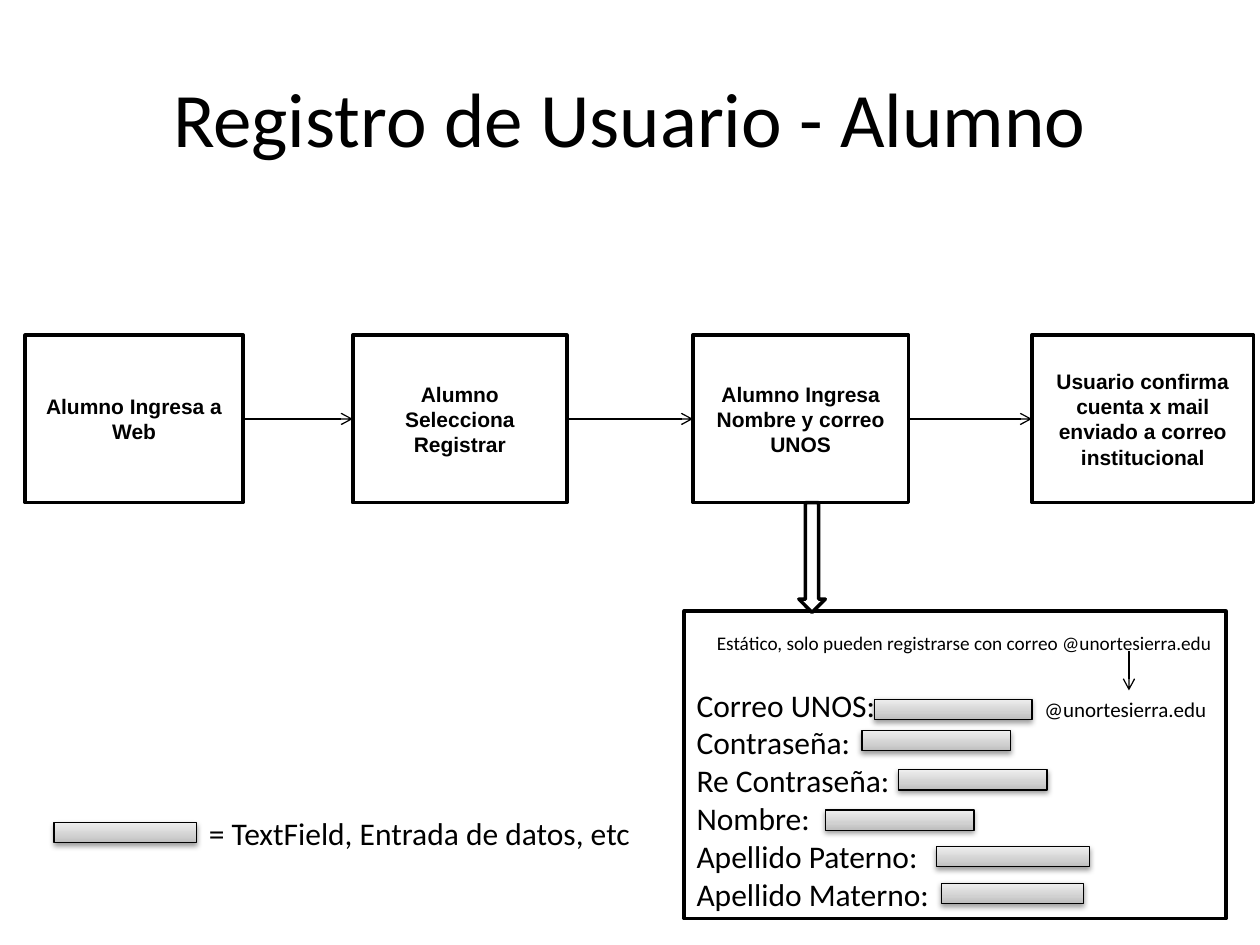
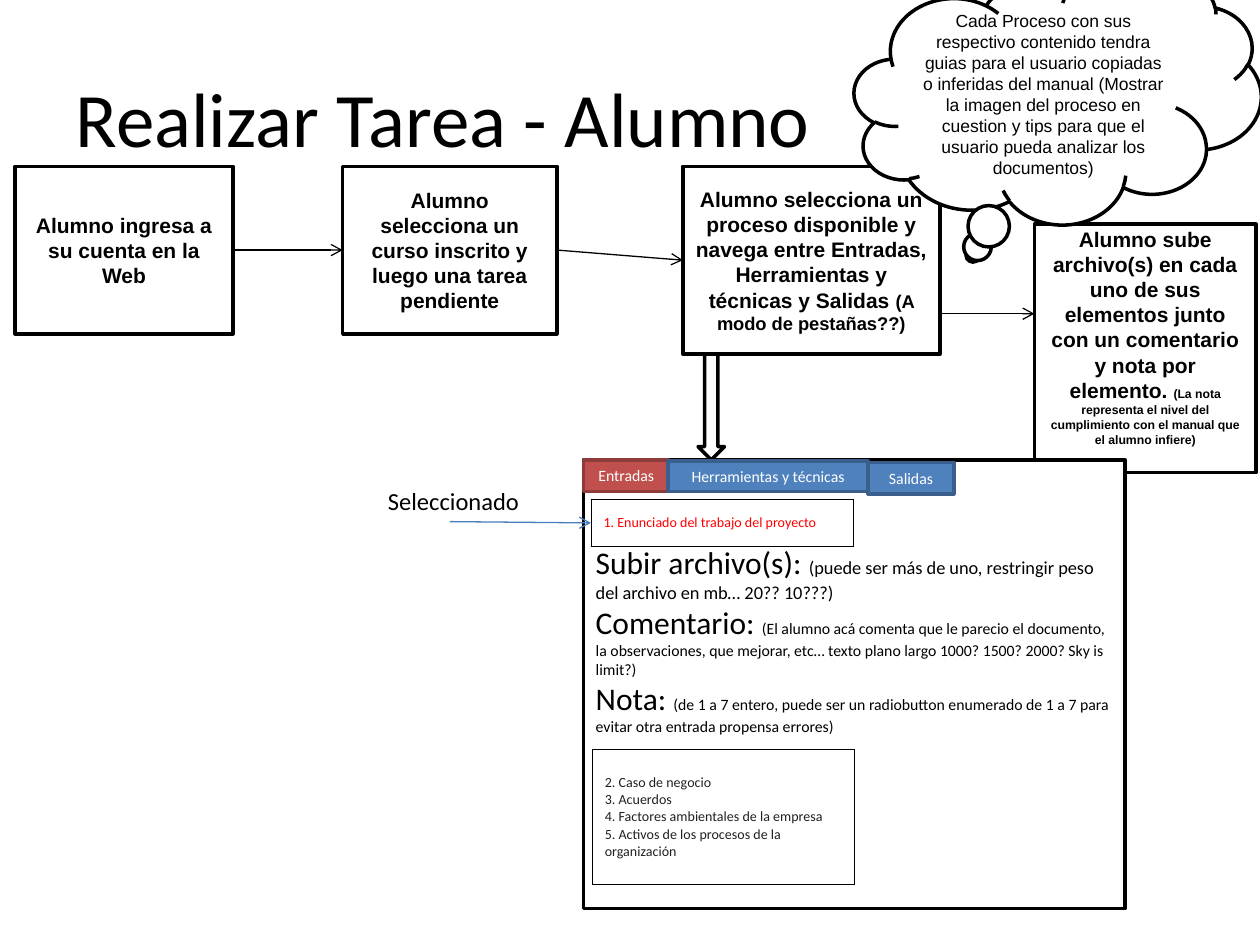
from copy import deepcopy
from typing import NamedTuple, Optional, Sequence, Union

from lxml import etree
from pptx import Presentation
from pptx.dml.color import RGBColor
from pptx.enum.shapes import MSO_CONNECTOR, MSO_SHAPE
from pptx.enum.text import MSO_ANCHOR, MSO_AUTO_SIZE, PP_ALIGN
from pptx.oxml.ns import qn
from pptx.util import Emu, Inches, Pt

RECTANGLE, DOWN_ARROW, CLOUD = MSO_SHAPE.RECTANGLE, MSO_SHAPE.DOWN_ARROW, MSO_SHAPE.CLOUD_CALLOUT
STRAIGHT = MSO_CONNECTOR.STRAIGHT
LEFT, CENTER = PP_ALIGN.LEFT, PP_ALIGN.CENTER
TOP, MIDDLE, BOTTOM = MSO_ANCHOR.TOP, MSO_ANCHOR.MIDDLE, MSO_ANCHOR.BOTTOM
FIT_TEXT = MSO_AUTO_SIZE.SHAPE_TO_FIT_TEXT

# Shared style
BLACK = RGBColor(0x00, 0x00, 0x00)
WHITE = RGBColor(0xFF, 0xFF, 0xFF)
RED = RGBColor(0xFF, 0x00, 0x00)
INK = RGBColor(0x23, 0x1F, 0x20)
TAB_RED, TAB_RED_EDGE = RGBColor(0xC0, 0x50, 0x4D), RGBColor(0x8E, 0x3B, 0x39)
TAB_BLUE, TAB_BLUE_EDGE = RGBColor(0x4F, 0x81, 0xBD), RGBColor(0x3A, 0x5F, 0x8C)
ARROW_BLUE = RGBColor(0x4B, 0x7E, 0xBC)
FIELD_STOPS = (
    (0, RGBColor(0xBD, 0xBD, 0xBD)),
    (0.35, RGBColor(0xD1, 0xD1, 0xD1)),
    (1, RGBColor(0xEE, 0xEE, 0xEE)),
)
BODY_FONT, STEP_FONT = "Calibri", "Arial"
THICK, THIN, TABLE_LINE = 2, 0.75, 0.5

# The slide is a grid of 100 columns by 75 rows
WIDTH, HEIGHT = Inches(10), Inches(7.5)
COLUMN, ROW = WIDTH // 100, HEIGHT // 75
FIELD_HEIGHT = 1.6
STEP_HEIGHT = 13.3


class Box(NamedTuple):
    left: float
    top: float
    width: float
    height: float

    @property
    def right(self) -> float:
        return self.left + self.width

    @property
    def bottom(self) -> float:
        return self.top + self.height

    @property
    def middle(self) -> float:
        return self.top + self.height / 2

    def emu(self) -> tuple:
        return (*point(self.left, self.top), *point(self.width, self.height))


class Line(NamedTuple):
    """A paragraph: its text, and a smaller note after it."""
    text: str
    note: str = ""
    note_size: float = 0


class Step(NamedTuple):
    box: Box
    line: Line
    bottom_inset: float = 0.5


class Tab(NamedTuple):
    box: Box
    text: str
    fill: RGBColor
    edge: RGBColor


class Cell(NamedTuple):
    box: Box
    text: str
    color: RGBColor


def point(column: float, row: float) -> tuple:
    return Emu(round(column * COLUMN)), Emu(round(row * ROW))


# Drawing functions
def write_text(text_frame, text: Union[str, Sequence[Line]], *, size: float,
               font: str = BODY_FONT, color: RGBColor = BLACK, bold: bool = False,
               align=LEFT) -> None:
    lines = [Line(part) for part in text.split("\n")] if isinstance(text, str) else text
    for index, line in enumerate(lines):
        paragraph = text_frame.add_paragraph() if index else text_frame.paragraphs[0]
        paragraph.alignment = align
        for content, points in ((line.text, size), (line.note, line.note_size)):
            if content:
                run = paragraph.add_run()
                run.text = content
                run.font.name, run.font.size = font, Pt(points)
                run.font.bold, run.font.color.rgb = bold, color


def add_title(presentation, text: str, align):
    slide = presentation.slides.add_slide(presentation.slide_layouts[5])
    title = slide.shapes.title
    title.left, title.top, title.width, title.height = Box(5, 3, 90, 12.5).emu()
    title.text_frame.vertical_anchor = MIDDLE
    write_text(title.text_frame, text, size=44, align=align)
    return slide


def add_block(slide, box: Box, kind=RECTANGLE, *, fill: RGBColor = WHITE,
              edge: RGBColor = BLACK, weight: float = THICK, anchor=MIDDLE,
              top_inset: float = 0.5, bottom_inset: float = 0.5):
    shape = slide.shapes.add_shape(kind, *box.emu())
    shape.shadow.inherit = False
    shape.fill.solid()
    shape.fill.fore_color.rgb = fill
    shape.line.color.rgb, shape.line.width = edge, Pt(weight)
    text_frame = shape.text_frame
    text_frame.word_wrap, text_frame.vertical_anchor = True, anchor
    text_frame.margin_top = Emu(round(top_inset * ROW))
    text_frame.margin_bottom = Emu(round(bottom_inset * ROW))
    return shape


def add_step(slide, step: Step) -> None:
    shape = add_block(slide, step.box, bottom_inset=step.bottom_inset)
    write_text(shape.text_frame, [step.line], size=12, font=STEP_FONT, bold=True, align=CENTER)


def add_label(slide, box: Box, text: str, *, size: float, wrap: bool = False) -> None:
    label = slide.shapes.add_textbox(*box.emu())
    label.text_frame.word_wrap, label.text_frame.auto_size = wrap, FIT_TEXT
    write_text(label.text_frame, text, size=size)


def add_field(slide, left: float, top: float, width: float) -> None:
    """Draws an input field with a grey gradient and a soft shadow."""
    shape = add_block(slide, Box(left, top, width, FIELD_HEIGHT), weight=THIN)
    shape.fill.gradient()
    shape.fill.gradient_angle = 90
    properties = shape._element.spPr
    stop_list = properties.find(".//" + qn("a:gsLst"))
    stop_list.append(deepcopy(stop_list[0]))
    for stop, (position, color) in zip(shape.fill.gradient_stops, FIELD_STOPS):
        stop.position, stop.color.rgb = position, color
    shadow = etree.SubElement(properties.find(qn("a:effectLst")), qn("a:outerShdw"),
                              blurRad=str(Pt(3.1)), dist=str(Pt(1.6)), dir="5400000",
                              rotWithShape="0")
    shadow_color = etree.SubElement(shadow, qn("a:srgbClr"), val=str(BLACK))
    etree.SubElement(shadow_color, qn("a:alpha"), val="38000")


def add_arrow(slide, start: tuple, end: tuple, color: RGBColor = BLACK) -> None:
    connector = slide.shapes.add_connector(STRAIGHT, *point(*start), *point(*end))
    connector.line.color.rgb, connector.line.width = color, Pt(THIN)
    properties = connector._element.spPr
    etree.SubElement(properties.find(qn("a:ln")), qn("a:tailEnd"), type="arrow")
    etree.SubElement(properties, qn("a:effectLst"))


def link_steps(slide, source: Box, target: Box, row: Optional[float] = None) -> None:
    add_arrow(slide, (source.right, row or source.middle), (target.left, row or target.middle))


def add_cell_table(slide, cell_data: Cell) -> None:
    table = slide.shapes.add_table(1, 1, *cell_data.box.emu()).table
    table.first_row = table.horz_banding = False
    cell = table.cell(0, 0)
    cell.vertical_anchor = MIDDLE
    write_text(cell.text_frame, cell_data.text, size=8, color=cell_data.color)
    properties = cell._tc.get_or_add_tcPr()
    for side in ("L", "R", "T", "B"):
        border = etree.SubElement(properties, qn(f"a:ln{side}"), w=str(Pt(TABLE_LINE)))
        border_fill = etree.SubElement(border, qn("a:solidFill"))
        etree.SubElement(border_fill, qn("a:srgbClr"), val=str(BLACK))
    cell.fill.background()


# Slide 1: user registration
def build_registration(presentation) -> None:
    slide = add_title(presentation, "Registro de Usuario - Alumno", CENTER)
    steps = [
        Step(Box(left, 26.6, width, STEP_HEIGHT), Line(text))
        for left, width, text in (
            (2, 17.3, "Alumno Ingresa a Web"),
            (28, 17, "Alumno Selecciona Registrar"),
            (55, 17.1, "Alumno Ingresa Nombre y correo UNOS"),
            (81.9, 17.6, "Usuario confirma cuenta x mail enviado a correo institucional"),
        )
    ]
    for step in steps:
        add_step(slide, step)
    for source, target in zip(steps, steps[1:]):
        link_steps(slide, source.box, target.box)

    # Registration form
    form = add_block(slide, Box(54.3, 48.5, 43, 24.4), anchor=BOTTOM)
    write_text(form.text_frame, "Correo UNOS:\nContraseña:\nRe Contraseña:\nNombre:\n"
               "Apellido Paterno:\nApellido Materno:", size=18)
    add_block(slide, Box(63.4, 39.9, 2.1, 8.7), DOWN_ARROW)
    for left, top, width in (
        (69.4, 55.5, 12.5), (68.4, 58, 11.8), (71.3, 61.1, 11.8),
        (65.5, 64.3, 11.8), (74.3, 67.2, 12.2), (74.7, 70.1, 11.3),
    ):
        add_field(slide, left, top, width)
    add_label(slide, Box(55.9, 49.6, 42.1, 2.9),
              "Estático, solo pueden registrarse con correo @unortesierra.edu", size=11)
    add_label(slide, Box(81.9, 54.8, 15.4, 3), "@unortesierra.edu", size=12)
    add_arrow(slide, (89.6, 51.7), (89.6, 54.8))

    # Legend
    add_field(slide, 4.3, 65.3, 11.3)
    add_label(slide, Box(15.6, 64.1, 35.8, 4), "= TextField, Entrada de datos, etc", size=18)


# Slide 2: carrying out a task
def build_task(presentation) -> None:
    slide = add_title(presentation, "Realizar Tarea - Alumno", LEFT)
    steps = (
        Step(Box(1.2, 13.2, 17.3, STEP_HEIGHT), Line("Alumno ingresa a su cuenta en la Web")),
        Step(Box(27.2, 13.2, 17, STEP_HEIGHT),
             Line("Alumno selecciona un curso inscrito y luego una tarea pendiente")),
        Step(Box(54.2, 13.2, 20.4, 14.9),
             Line("Alumno selecciona un proceso disponible y navega entre Entradas, "
                  "Herramientas y técnicas y Salidas ", "(A modo de pestañas??)", 10.5)),
        Step(Box(82.1, 17.8, 17.6, 19.7),
             Line("Alumno sube archivo(s) en cada uno de sus elementos junto con un "
                  "comentario y nota por elemento. ",
                  "(La nota representa el nivel del cumplimiento con el manual que el "
                  "alumno infiere)", 7), bottom_inset=2.4),
    )
    for step in steps:
        add_step(slide, step)
    for source, target, row in zip(steps, steps[1:], (None, None, 24.9)):
        link_steps(slide, source.box, target.box, row)
    add_block(slide, Box(55.4, 28.1, 2.1, 8.4), DOWN_ARROW)

    # Upload panel; the top inset leaves room for tabs and the selected entry
    panel = add_block(slide, Box(46.3, 36.5, 43, 35.6), anchor=TOP, top_inset=6.6)
    write_text(panel.text_frame, [
        Line("Subir archivo(s): ",
             "(puede ser más de uno, restringir peso del archivo en mb… 20?? 10???)", 10.5),
        Line("Comentario: ",
             "(El alumno acá comenta que le parecio el documento, la observaciones, que "
             "mejorar, etc… texto plano largo 1000? 1500? 2000? Sky is limit?)", 9),
        Line("Nota: ",
             "(de 1 a 7 entero, puede ser un radiobutton enumerado de 1 a 7 para evitar "
             "otra entrada propensa errores)", 9),
    ], size=18)

    # Guidance cloud
    cloud = add_block(slide, Box(67.8, -1.9, 32.3, 19.7), CLOUD)
    write_text(cloud.text_frame, "Cada Proceso con sus respectivo contenido tendra guias para "
               "el usuario copiadas o inferidas del manual (Mostrar la imagen del proceso en "
               "cuestion y tips para que el usuario pueda analizar los documentos)",
               size=10, font=STEP_FONT, align=CENTER)

    # Tabs
    for tab in (
        Tab(Box(46.3, 36.5, 6.8, 2.5), "Entradas", TAB_RED, TAB_RED_EDGE),
        Tab(Box(53, 36.6, 15.9, 2.4), "Herramientas y técnicas", TAB_BLUE, TAB_BLUE_EDGE),
        Tab(Box(68.9, 36.7, 6.8, 2.5), "Salidas", TAB_BLUE, TAB_BLUE_EDGE),
    ):
        shape = add_block(slide, tab.box, fill=tab.fill, edge=tab.edge)
        write_text(shape.text_frame, tab.text, size=9, color=WHITE, align=CENTER)

    # Document lists
    for cell in (
        Cell(Box(46.9, 39.6, 20.8, 3.8), "1. Enunciado del trabajo del proyecto", RED),
        Cell(Box(47, 59.5, 20.8, 10.7),
             "2. Caso de negocio\n3. Acuerdos\n4. Factores ambientales de la empresa\n"
             "5. Activos de los procesos de la organización", INK),
    ):
        add_cell_table(slide, cell)
    add_arrow(slide, (35.7, 41.4), (46.9, 41.5), ARROW_BLUE)
    add_label(slide, Box(29.8, 38.1, 16.5, 3.4), "Seleccionado", size=14, wrap=True)


def main() -> None:
    presentation = Presentation()
    presentation.slide_width, presentation.slide_height = WIDTH, HEIGHT
    build_registration(presentation)
    build_task(presentation)
    presentation.save("out.pptx")


if __name__ == "__main__":
    main()
